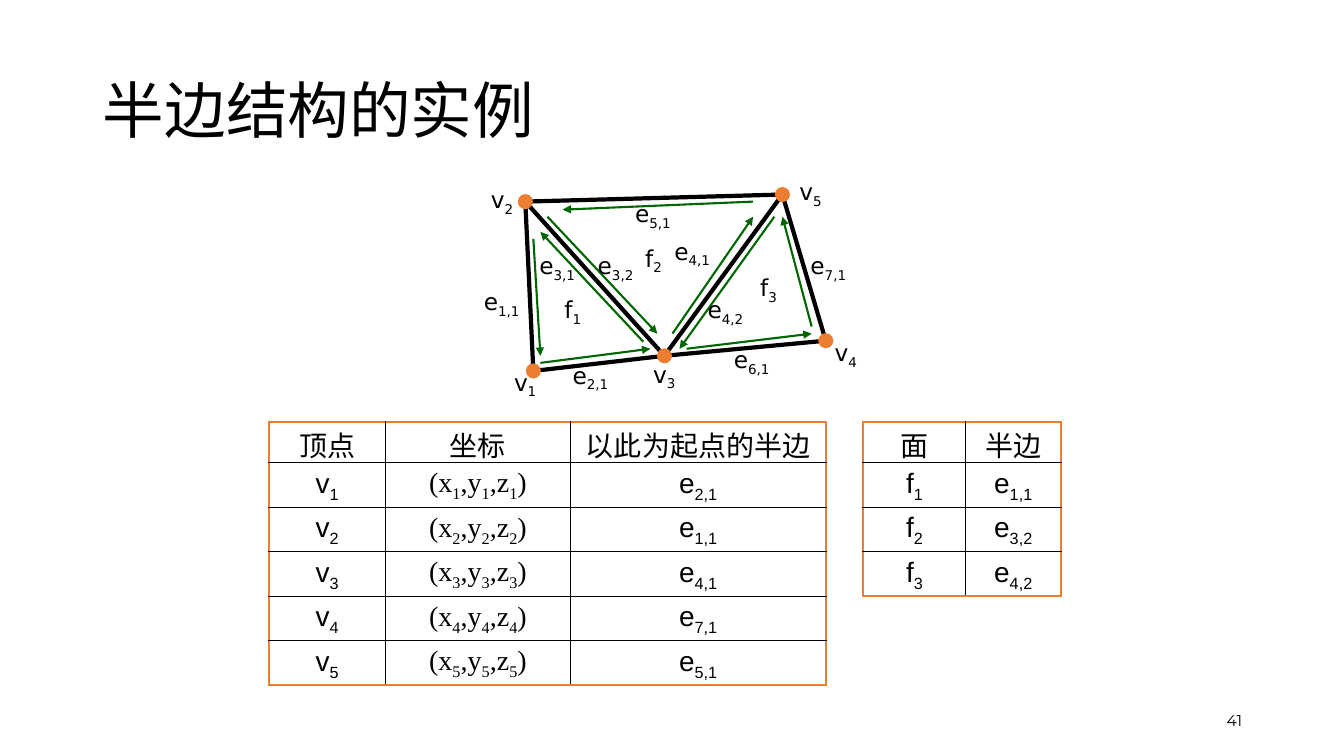
from lxml import etree
from pptx import Presentation
from pptx.dml.color import RGBColor
from pptx.enum.shapes import MSO_CONNECTOR, MSO_SHAPE
from pptx.enum.text import MSO_ANCHOR, MSO_AUTO_SIZE, PP_ALIGN
from pptx.oxml import parse_xml
from pptx.oxml.ns import nsdecls, qn
from pptx.util import Inches, Pt

BLACK = RGBColor(0x00, 0x00, 0x00)
ORANGE = RGBColor(0xED, 0x7D, 0x31)
GREEN = RGBColor(0x00, 0x66, 0x00)
DOT = 0.15


def write(frame, text, font, size, align=PP_ALIGN.LEFT, spacing=1.0):
    """Fill a text frame; parts between underscores become subscripts."""
    paragraph = frame.paragraphs[0]
    paragraph.alignment = align
    paragraph.line_spacing = spacing
    for position, part in enumerate(text.split("_")):
        if not part:
            continue
        run = paragraph.add_run()
        run.text = part
        run.font.name = font
        run.font.size = Pt(size)
        run.font.color.rgb = BLACK
        if position % 2:
            run.font._element.set("baseline", "-25000")


def draw_edge(shapes, start, end, color, width):
    edge = shapes.add_connector(
        MSO_CONNECTOR.STRAIGHT, *(Inches(value) for value in (*start, *end)))
    edge.line.color.rgb = color
    edge.line.width = Pt(width)
    etree.SubElement(edge._element.spPr, qn("a:effectLst"))
    return edge


prs = Presentation()
prs.slide_width, prs.slide_height = Inches(13.33), Inches(7.5)
slide = prs.slides.add_slide(prs.slide_layouts[5])

title = slide.shapes.title
title.left, title.top = Inches(0.92), Inches(0.4)
title.width, title.height = Inches(11.5), Inches(1.45)
title.text_frame.vertical_anchor = MSO_ANCHOR.MIDDLE
write(title.text_frame, "半边结构的实例", "Calibri", 44, spacing=0.9)

page_number = slide.shapes.add_textbox(
    Inches(9.42), Inches(6.95), Inches(3), Inches(0.4)).text_frame
page_number.word_wrap = True
page_number.vertical_anchor = MSO_ANCHOR.MIDDLE
write(page_number, "41", "Montserrat", 11.1, align=PP_ALIGN.RIGHT)

# Mesh: edges, vertices, half-edges and labels
mesh = slide.shapes.add_group_shape().shapes
vertices = {1: (5.29, 3.68), 2: (5.21, 2), 3: (6.59, 3.53),
            4: (8.19, 3.38), 5: (7.76, 1.93)}
for a, b in [(1, 3), (3, 5), (4, 5), (4, 3), (5, 2), (2, 3), (2, 1)]:
    draw_edge(mesh, vertices[a], vertices[b], BLACK, 3)

for x, y in vertices.values():
    dot = mesh.add_shape(MSO_SHAPE.OVAL, Inches(x - DOT / 2), Inches(y - DOT / 2),
                         Inches(DOT), Inches(DOT))
    dot.shadow.inherit = False
    dot.fill.solid()
    dot.fill.fore_color.rgb = ORANGE
    dot.line.fill.background()

half_edges = [
    ((6.67, 3.31), (7.47, 2.15)), ((5.43, 2.15), (6.52, 3.31)),
    ((7.47, 2), (5.58, 2.08)), ((6.38, 3.39), (5.36, 2.3)),
    ((5.29, 2.37), (5.36, 3.53)), ((5.36, 3.6), (6.45, 3.46)),
    ((7.68, 2.15), (6.74, 3.46)), ((6.81, 3.46), (8.05, 3.31)),
    ((8.05, 3.24), (7.76, 2.15)),
]
for start, end in half_edges:
    arrow = draw_edge(mesh, start, end, GREEN, 1.5)
    etree.SubElement(arrow.line._get_or_add_ln(), qn("a:tailEnd"), type="triangle")

label_widths = {"v": 0.43, "f": 0.38, "e": 0.58}
labels = {
    "v_1": (5, 3.6), "v_2": (4.77, 1.79), "v_3": (6.38, 3.52),
    "v_4": (8.18, 3.31), "v_5": (7.83, 1.71),
    "f_1": (5.5, 2.88), "f_2": (6.3, 2.37), "f_3": (7.44, 2.66),
    "e_1,1": (4.7, 2.8), "e_2,1": (5.58, 3.53), "e_3,1": (5.25, 2.44),
    "e_3,2": (5.83, 2.44), "e_4,1": (6.59, 2.3), "e_5,1": (6.2, 1.93),
    "e_4,2": (6.92, 2.88), "e_6,1": (7.18, 3.38), "e_7,1": (7.94, 2.44),
}
for label, (left, top) in labels.items():
    frame = mesh.add_textbox(Inches(left), Inches(top),
                             Inches(label_widths[label[0]]), Inches(0.38)).text_frame
    frame.word_wrap = False
    frame.auto_size = MSO_AUTO_SIZE.SHAPE_TO_FIT_TEXT
    write(frame, label, "DejaVu Sans", 16.6)

# Vertex table and face table
vertex_rows = [["顶点", "坐标", "以此为起点的半边"]]
for i, outgoing in enumerate(["2,1", "1,1", "4,1", "7,1", "5,1"], 1):
    vertex_rows.append([f"v_{i}", f"(x_{i}_,y_{i}_,z_{i}_)", f"e_{outgoing}"])
face_rows = [["面", "半边"]]
for i, boundary in enumerate(["1,1", "3,2", "4,2"], 1):
    face_rows.append([f"f_{i}", f"e_{boundary}"])

for left, widths, rows in [(2.67, [1.15, 1.84, 2.53], vertex_rows),
                           (8.56, [1.02, 0.94], face_rows)]:
    table = slide.shapes.add_table(
        len(rows), len(widths), Inches(left), Inches(4.19),
        Inches(sum(widths)), Inches(0.4 * len(rows))).table
    table.first_row = table.horz_banding = False
    for column, width in zip(table.columns, widths):
        column.width = Inches(width)
    for r, row in enumerate(rows):
        for c, text in enumerate(row):
            cell = table.cell(r, c)
            cell.margin_left = cell.margin_right = Inches(0.09)
            font = "Times New Roman" if text.startswith("(") else "Arial"
            write(cell.text_frame, text, font, 20,
                  align=PP_ALIGN.CENTER, spacing=0.9)
            outer_sides = {"L": c == 0, "R": c == len(row) - 1,
                           "T": r == 0, "B": r == len(rows) - 1}
            for side, outer in outer_sides.items():
                color, width = (ORANGE, Pt(1.5)) if outer else (BLACK, Pt(1))
                cell._tc.get_or_add_tcPr().append(parse_xml(
                    f'<a:ln{side} {nsdecls("a")} w="{width}"><a:solidFill>'
                    f'<a:srgbClr val="{color}"/></a:solidFill></a:ln{side}>'))
            cell.fill.background()

prs.save("out.pptx")
